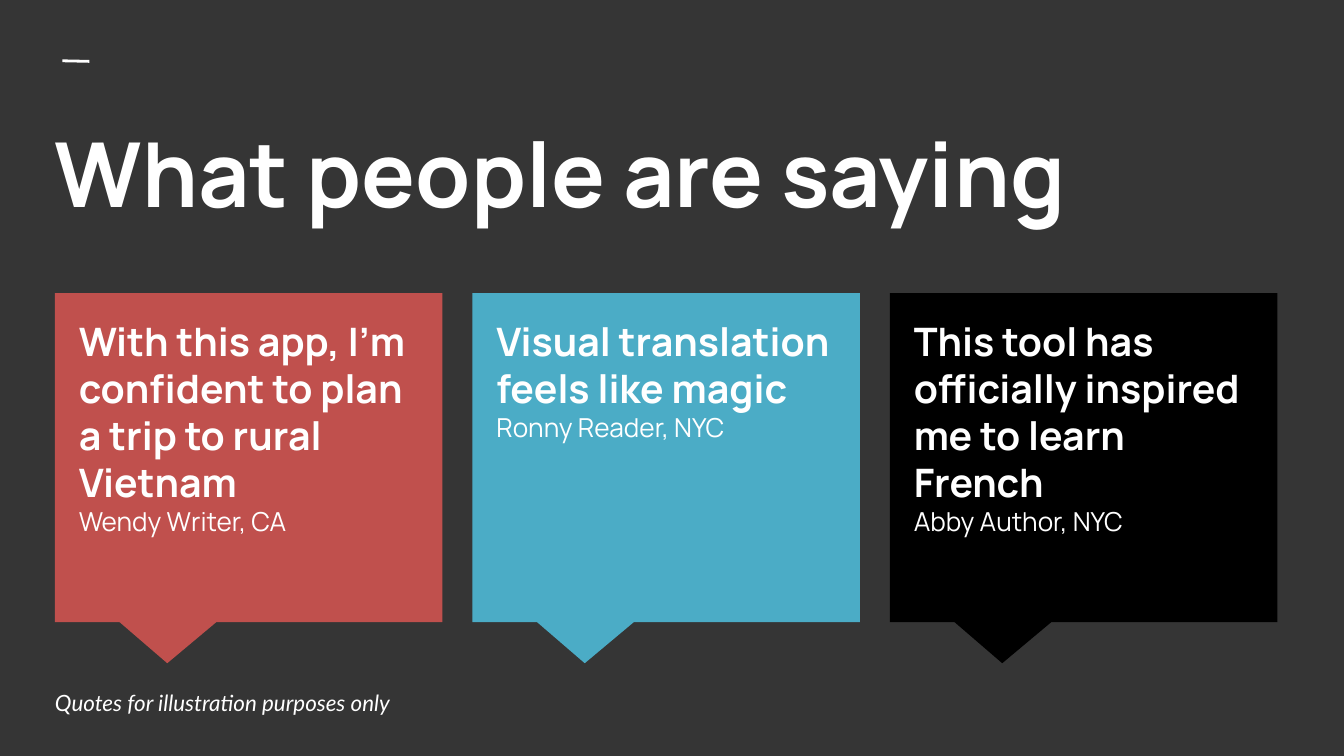
from dataclasses import dataclass

import pptx
import pptx.dml.color
import pptx.enum.shapes
import pptx.enum.text
import pptx.oxml
import pptx.oxml.ns
import pptx.util

Cm = pptx.util.Cm
Pt = pptx.util.Pt
Color = pptx.dml.color.RGBColor
Anchor = pptx.enum.text.MSO_ANCHOR

DARK = Color(0x35, 0x35, 0x35)
WHITE = Color(0xFF, 0xFF, 0xFF)
RED = Color(0xC0, 0x50, 0x4D)
BLUE = Color(0x4B, 0xAC, 0xC6)
BLACK = Color(0x00, 0x00, 0x00)

LEFT, TOP, STEP = 1.04, 5.54, 7.89
WIDTH, HEIGHT = 7.32, 6.22
INSET = 0.2


@dataclass
class Quote:
    text: str
    author: str
    fill: Color


@dataclass
class Line:
    text: str
    size: float
    bold: bool = False


QUOTES = [
    Quote("With this app, I’m confident to plan a trip to rural Vietnam",
          "Wendy Writer, CA", RED),
    Quote("Visual translation feels like magic", "Ronny Reader, NYC", BLUE),
    Quote("This tool has officially inspired me to learn French ",
          "Abby Author, NYC", BLACK),
]


def add_text(slide, lines: list[Line], *, left: float, top: float,
             width: float, height: float, font: str = "Manrope",
             italic: bool = False, anchor: Anchor = Anchor.TOP) -> None:
    box = slide.shapes.add_textbox(Cm(left), Cm(top), Cm(width), Cm(height))
    frame = box.text_frame
    frame.word_wrap = True
    frame.vertical_anchor = anchor
    frame.margin_left = frame.margin_right = Cm(0.25)
    frame.margin_top = frame.margin_bottom = Cm(0.25)
    para = frame.paragraphs[0]
    for index, line in enumerate(lines):
        if index:
            para.add_line_break()
        run = para.add_run()
        run.text = line.text
        run.font.name = font
        run.font.size = Pt(line.size)
        run.font.bold = line.bold
        run.font.italic = italic
        run.font.color.rgb = WHITE


def add_dash(slide) -> None:
    dash = slide.shapes.add_connector(
        pptx.enum.shapes.MSO_CONNECTOR.STRAIGHT,
        Cm(1.18), Cm(1.15), Cm(1.69), Cm(1.16))
    dash.line.color.rgb = WHITE
    dash.line.width = Pt(1.5)
    props = dash._element.spPr
    props.append(pptx.oxml.parse_xml(
        "<a:effectLst %s/>" % pptx.oxml.ns.nsdecls("a")))


def add_quote(slide, quote: Quote, left: float) -> None:
    bubble = slide.shapes.add_shape(
        pptx.enum.shapes.MSO_SHAPE.RECTANGULAR_CALLOUT,
        Cm(left), Cm(TOP), Cm(WIDTH), Cm(HEIGHT))
    bubble.adjustments[0] = -0.21
    bubble.adjustments[1] = 0.625
    bubble.shadow.inherit = False
    bubble.fill.solid()
    bubble.fill.fore_color.rgb = quote.fill
    bubble.line.fill.background()
    add_text(slide, [Line(quote.text, 21, True), Line(quote.author, 14)],
             left=left + INSET, top=TOP + INSET,
             width=WIDTH - 2 * INSET, height=5.56)


def main() -> None:
    deck = pptx.Presentation()
    deck.slide_width = Cm(25.4)
    deck.slide_height = Cm(14.29)
    slide = deck.slides.add_slide(deck.slide_layouts[6])
    slide.background.fill.solid()
    slide.background.fill.fore_color.rgb = DARK
    add_dash(slide)
    add_text(slide, [Line("What people are saying", 48, True)],
             left=0.79, top=1.98, width=23.95, height=2.82)
    for index, quote in enumerate(QUOTES):
        add_quote(slide, quote, LEFT + index * STEP)
    add_text(slide, [Line("Quotes for illustration purposes only", 12)],
             left=0.79, top=12.93, width=17.35, height=0.71,
             font="Lato", italic=True, anchor=Anchor.MIDDLE)
    deck.save("out.pptx")


main()
